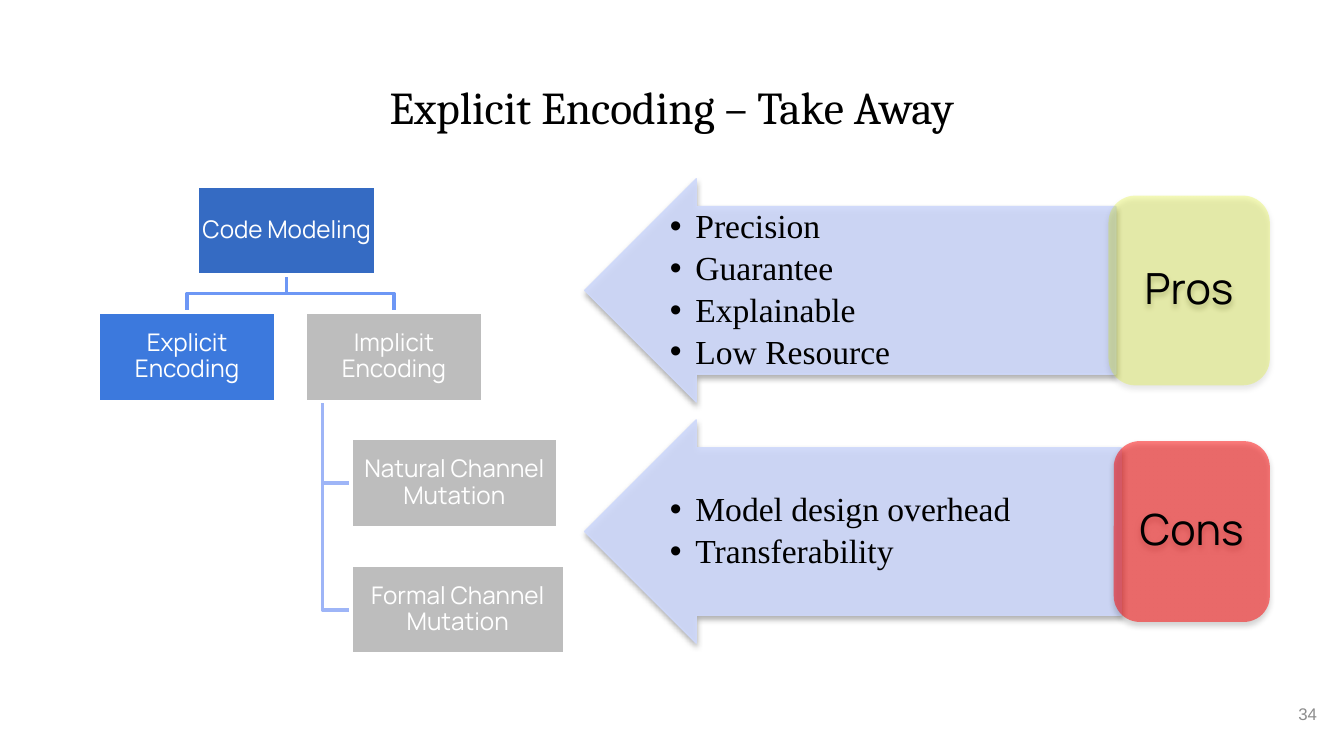
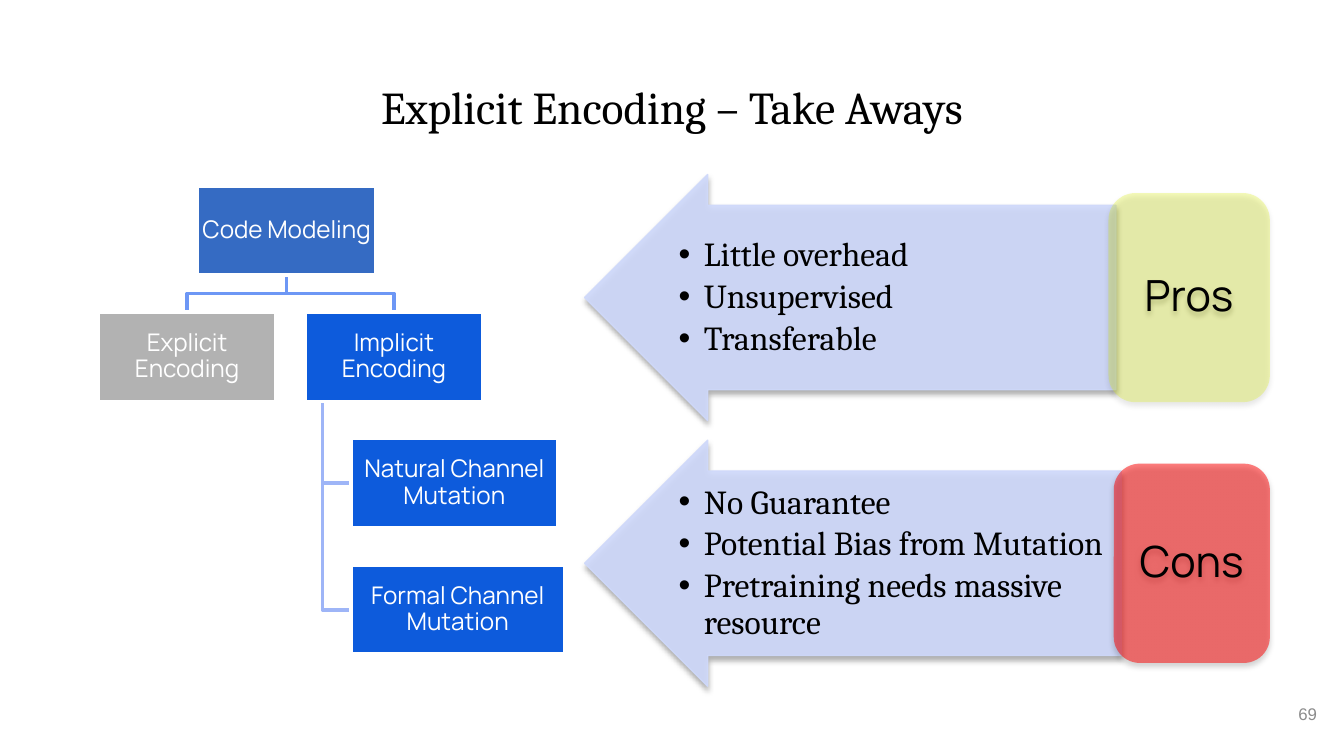
"""Builds two take-away slides: a code modeling tree beside its pros and cons."""
from lxml.etree import SubElement
from pptx import Presentation
from pptx.dml.color import RGBColor
from pptx.enum.shapes import MSO_SHAPE
from pptx.enum.text import MSO_ANCHOR, PP_ALIGN
from pptx.oxml.ns import qn
from pptx.util import Cm, Pt

COLORS = {
    "text": "000000", "white": "FFFFFF", "number": "8C8C8C",
    "arrow": "CFD9FB", "pros": "DBF000", "cons": "FF0000",
    "root": "356BC3", "explicit": "3C79DD", "implicit": "0D5BDC",
    "off_light": "BDBDBD", "off_dark": "B2B2B2",
    "branch": "6D97F5", "twig": "9EB5F7",
}
NODE_W, NODE_H, ROW_STEP = 3.37, 1.69, 2.39
TREE_BOX = (1.85, 3.51)
PANEL_LEFT, PANEL_W = 11.05, 12.95


def rgb(name):
    """Return the named colour."""
    return RGBColor.from_string(COLORS[name])


def set_alpha(fill, percent):
    """Make a solid fill partly transparent."""
    clr = fill._xPr.find(qn("a:solidFill"))[0]
    SubElement(clr, qn("a:alpha"), val=str(percent * 1000))


def add_shadow(sp):
    """Give a shape a soft shadow just below it."""
    sp.shadow.inherit = False
    effects = sp._element.spPr.find(qn("a:effectLst"))
    shadow = SubElement(effects, qn("a:outerShdw"), blurRad=str(Pt(3.1)),
                        dist=str(Pt(1.8)), dir="5400000", rotWithShape="0")
    clr = SubElement(shadow, qn("a:srgbClr"), val=COLORS["text"])
    SubElement(clr, qn("a:alpha"), val="35000")


def add_bullet(p):
    """Give a paragraph a hanging round bullet."""
    pPr = p._p.get_or_add_pPr()
    pPr.set("marL", str(Cm(0.48)))
    pPr.set("indent", str(-Cm(0.48)))
    clr = SubElement(pPr, qn("a:buClr"))
    SubElement(clr, qn("a:srgbClr"), val=COLORS["text"])
    SubElement(pPr, qn("a:buFont"), typeface="Arial")
    SubElement(pPr, qn("a:buChar"), char="•")


def write(sp, lines, font, size, color="text", align=PP_ALIGN.CENTER,
          anchor=MSO_ANCHOR.MIDDLE, inset=(0.03, 0.03), spacing=None,
          after=0, bullets=False):
    """Write lines of text into a shape, one paragraph each."""
    tf = sp.text_frame
    tf.word_wrap = True
    tf.vertical_anchor = anchor
    tf.margin_left = tf.margin_right = Cm(inset[0])
    tf.margin_top = tf.margin_bottom = Cm(inset[1])
    for i, line in enumerate(lines):
        p = tf.add_paragraph() if i else tf.paragraphs[0]
        if bullets:
            p.level = 1
            add_bullet(p)
        p.alignment = align
        p.space_after = Pt(after)
        if spacing:
            p.line_spacing = spacing
        r = p.add_run()
        r.text = line
        r.font.name = font
        r.font.size = Pt(size)
        r.font.color.rgb = rgb(color)


def add_box(s, kind, x, y, w, h, color):
    """Add a filled preset shape without shadow."""
    sp = s.shapes.add_shape(kind, Cm(x), Cm(y), Cm(w), Cm(h))
    sp.shadow.inherit = False
    sp.fill.solid()
    sp.fill.fore_color.rgb = rgb(color)
    return sp


def add_textbox(s, x, y, w, h):
    """Add an empty text box."""
    return s.shapes.add_textbox(Cm(x), Cm(y), Cm(w), Cm(h))


def add_elbow(s, points, color):
    """Draw an open line through the points."""
    start, *rest = [(Cm(x), Cm(y)) for x, y in points]
    builder = s.shapes.build_freeform(*start)
    builder.add_line_segments(rest, close=False)
    sp = builder.convert_to_shape()
    sp.shadow.inherit = False
    sp.fill.background()
    sp.line.color.rgb = rgb(color)
    sp.line.width = Pt(2)


def add_tree(s, left, top, explicit, implicit):
    """Draw the code modeling tree from its top left corner."""
    root_x, implicit_x, leaf_x = left + 1.88, left + 3.91, left + 4.78
    rows = [top + i * ROW_STEP for i in range(4)]
    trunk = implicit_x + NODE_W / 10
    for y in rows[:1:-1]:
        middle = y + NODE_H / 2
        add_elbow(s, [(trunk, rows[1] + NODE_H), (trunk, middle),
                      (leaf_x, middle)], "twig")
    root_mid = root_x + NODE_W / 2
    bend = (rows[0] + NODE_H + rows[1]) / 2
    for x in (implicit_x, left):
        child_mid = x + NODE_W / 2
        add_elbow(s, [(root_mid, rows[0] + NODE_H), (root_mid, bend),
                      (child_mid, bend), (child_mid, rows[1])], "branch")
    nodes = [
        ("Code Modeling", root_x, rows[0], NODE_W, "root"),
        ("Explicit Encoding", left, rows[1], NODE_W, explicit),
        ("Implicit Encoding", implicit_x, rows[1], NODE_W, implicit),
        ("Natural Channel Mutation", leaf_x, rows[2], 3.91, implicit),
        ("Formal Channel Mutation", leaf_x, rows[3], 4.04, implicit),
    ]
    for label, x, y, w, color in nodes:
        sp = add_box(s, MSO_SHAPE.RECTANGLE, x, y, w, NODE_H, color)
        sp.line.color.rgb = rgb("white")
        sp.line.width = Pt(2)
        write(sp, [label], "Manrope", 13, "white", spacing=0.9, after=4.5)


def add_panel(s, left, top, w, h, label, lines, font, card_size, color, alpha):
    """Draw an arrow with bullets and its label card inside a box."""
    card_w, card_h = card_size[0], card_size[1] * h
    card_x = left + w - card_w
    arrow_w = card_x + 0.14 - left
    sp = add_box(s, MSO_SHAPE.LEFT_ARROW, left, top, arrow_w, h, "arrow")
    sp.adjustments[0], sp.adjustments[1] = 0.75, 0.5
    sp.line.color.rgb = rgb("arrow")
    sp.line.width = Pt(0.75)
    set_alpha(sp.fill, 90)
    set_alpha(sp.line.fill, 90)
    add_shadow(sp)
    text_x = 0.375 * h
    tb = add_textbox(s, left + text_x, top + h / 8, arrow_w - text_x, 0.75 * h)
    write(tb, lines, font, 18, align=PP_ALIGN.LEFT, spacing=0.9, after=3,
          bullets=True)
    card = add_box(s, MSO_SHAPE.ROUNDED_RECTANGLE, card_x,
                   top + (h - card_h) / 2, card_w, card_h, color)
    card.line.fill.background()
    set_alpha(card.fill, alpha)
    add_shadow(card)
    write(card, [label], "Manrope", 23, inset=(0.1, 0.1), spacing=0.9, after=8)


def add_takeaway_slide(prs, title, number, tree, top, h, font, pros, cons):
    """Add one slide with title, number, tree, pros and cons."""
    s = prs.slides.add_slide(prs.slide_layouts[6])
    write(add_textbox(s, 23.55, 12.95, 1.52, 1.09), [number], "Arial", 9,
          "number", align=PP_ALIGN.RIGHT, inset=(0.18, 0.1))
    panels = [("Pros", pros, (3.05, 0.85), "pros", 27),
              ("Cons", cons, (2.95, 0.81), "cons", 50)]
    for i, (label, lines, card_size, color, alpha) in enumerate(panels):
        add_panel(s, PANEL_LEFT, top + i * 1.08 * h, PANEL_W, h, label, lines,
                  font, card_size, color, alpha)
    write(add_textbox(s, 0.86, 1.24, 23.67, 1.6), [title], "Cambria", 24.4,
          anchor=MSO_ANCHOR.TOP, inset=(0.25, 0.25))
    add_tree(s, *TREE_BOX, *tree)


def main():
    """Build and save the deck."""
    prs = Presentation()
    prs.slide_width, prs.slide_height = Cm(25.4), Cm(14.29)
    add_takeaway_slide(
        prs, "Explicit Encoding – Take Away", "34", ("explicit", "off_light"),
        3.38, 4.22, "Times New Roman",
        ["Precision", "Guarantee", "Explainable", "Low Resource"],
        ["Model design overhead", "Transferability"])
    add_takeaway_slide(
        prs, "Explicit Encoding – Take Aways", "69", ("off_dark", "implicit"),
        3.3, 4.65, "Cambria",
        ["Little overhead", "Unsupervised", "Transferable"],
        ["No Guarantee", "Potential Bias from Mutation",
         "Pretraining needs massive resource"])
    prs.save("out.pptx")


if __name__ == "__main__":
    main()
